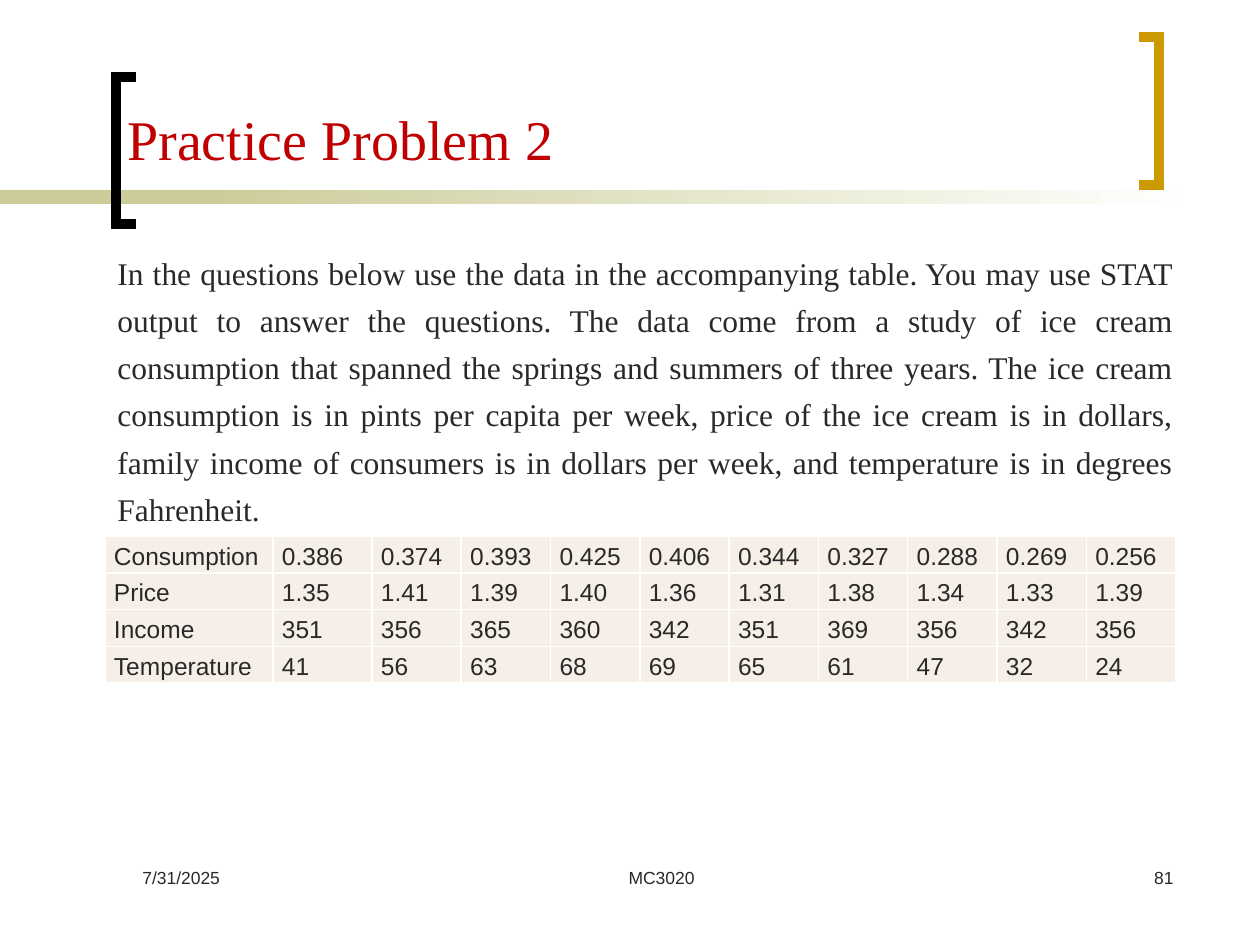
from dataclasses import dataclass

from lxml.etree import SubElement as Sub
from pptx import Presentation
from pptx.dml.color import RGBColor as Rgb
from pptx.enum.shapes import MSO_SHAPE as Shape
from pptx.enum.text import MSO_ANCHOR as Anchor, PP_ALIGN as Align
from pptx.oxml.ns import qn
from pptx.util import Emu, Pt

SCALE = 914400 / 126  # EMU in one px


@dataclass(frozen=True)
class Theme:
    ink: str = "292929"
    title: str = "C00000"
    band: str = "CCCC99"
    white: str = "FFFFFF"
    black: str = "000000"
    gold: str = "CC9900"
    cell: str = "F6EFE7"
    serif: str = "Times New Roman"
    sans: str = "Arial"
    big: int = 32
    body: int = 18
    grid: int = 14
    foot: int = 10
    thick: int = 6
    rule: int = 1
    lead: float = 1.25


THEME = Theme()


@dataclass(frozen=True)
class Box:
    left: int
    top: int
    width: int
    height: int


@dataclass(frozen=True)
class Style:
    size: int
    font: str
    color: str = THEME.ink
    align: Align = Align.LEFT
    lead: float = 1.0


@dataclass(frozen=True)
class Label:
    text: str
    box: Box
    style: Style
    anchor: Anchor = Anchor.TOP


@dataclass(frozen=True)
class Bracket:
    spine: int
    tip: int
    top: int
    bottom: int
    color: str


def px(value: float) -> Emu:
    return Emu(round(value * SCALE))


def place(box: Box) -> tuple:
    return px(box.left), px(box.top), px(box.width), px(box.height)


def write(frame, text: str, style: Style) -> None:
    para = frame.paragraphs[0]
    para.alignment = style.align
    para.line_spacing = style.lead
    run = para.add_run()
    run.text = text
    for key, value in {"name": style.font, "size": Pt(style.size)}.items():
        setattr(run.font, key, value)
    run.font.color.rgb = Rgb.from_string(style.color)


def draw_label(slide, label: Label) -> None:
    frame = slide.shapes.add_textbox(*place(label.box)).text_frame
    frame.word_wrap = True
    frame.vertical_anchor = label.anchor
    write(frame, label.text, label.style)


def draw_band(slide, box: Box, start: str, end: str) -> None:
    band = slide.shapes.add_shape(Shape.RECTANGLE, *place(box))
    band.shadow.inherit = False
    band.line.fill.background()
    if start == end:
        band.fill.solid()
        band.fill.fore_color.rgb = Rgb.from_string(start)
        return
    band.fill.gradient()
    band.fill.gradient_angle = 0
    for stop, color in zip(band.fill.gradient_stops, (start, end)):
        stop.color.rgb = Rgb.from_string(color)


def draw_bracket(slide, item: Bracket) -> None:
    path = slide.shapes.build_freeform(item.tip, item.top, scale=SCALE)
    path.add_line_segments(
        [(item.spine, item.top), (item.spine, item.bottom), (item.tip, item.bottom)],
        close=False,
    )
    shape = path.convert_to_shape()
    shape.shadow.inherit = False
    shape.fill.background()
    shape.line.width = Pt(THEME.thick)
    shape.line.color.rgb = Rgb.from_string(item.color)
    Sub(shape.line._get_or_add_ln(), qn("a:miter"), lim="800000")


def set_edges(cell) -> None:
    props = cell._tc.get_or_add_tcPr()
    for at, side in enumerate(("lnL", "lnR", "lnT", "lnB")):
        edge = Sub(props, qn(f"a:{side}"), w=str(Pt(THEME.rule)))
        paint = Sub(edge, qn("a:solidFill"))
        Sub(paint, qn("a:srgbClr"), val=THEME.white)
        props.insert(at, edge)  # borders go before the fill


def draw_table(slide, box: Box, rows: list, widths: list) -> None:
    table = slide.shapes.add_table(len(rows), len(widths), *place(box)).table
    table.first_row = table.horz_banding = False
    for column, width in zip(table.columns, widths):
        column.width = px(width)
    style = Style(THEME.grid, THEME.sans, align=Align.JUSTIFY, lead=THEME.lead)
    inset = {"margin_left": 9, "margin_right": 9, "margin_top": 0, "margin_bottom": 0}
    for r, row in enumerate(rows):
        for c, text in enumerate(row):
            cell = table.cell(r, c)
            for key, value in inset.items():
                setattr(cell, key, px(value))
            cell.fill.solid()
            cell.fill.fore_color.rgb = Rgb.from_string(THEME.cell)
            set_edges(cell)
            write(cell.text_frame, text, style)


BRACKETS = [
    Bracket(116, 136, 77, 224, THEME.black),
    Bracket(1159, 1139, 37, 185, THEME.gold),
]

STORY = (
    "In the questions below use the data in the accompanying table. "
    "You may use STAT output to answer the questions. The data come from a study "
    "of ice cream consumption that spanned the springs and summers of three years. "
    "The ice cream consumption is in pints per capita per week, price of the ice "
    "cream is in dollars, family income of consumers is in dollars per week, and "
    "temperature is in degrees Fahrenheit."
)

LABELS = [
    Label("7/31/2025", Box(130, 861, 262, 63), Style(THEME.foot, THEME.sans)),
    Label("MC3020", Box(462, 861, 399, 63),
          Style(THEME.foot, THEME.sans, align=Align.CENTER)),
    Label("81", Box(924, 861, 262, 63),
          Style(THEME.foot, THEME.sans, align=Align.RIGHT)),
    Label(STORY, Box(105, 238, 1081, 284),
          Style(THEME.body, THEME.serif, align=Align.JUSTIFY, lead=THEME.lead)),
    Label("Practice Problem 2", Box(115, 94, 1071, 84),
          Style(THEME.big, THEME.serif, THEME.title), Anchor.BOTTOM),
]

ROWS = [
    ["Consumption", "0.386", "0.374", "0.393", "0.425", "0.406",
     "0.344", "0.327", "0.288", "0.269", "0.256"],
    ["Price", "1.35", "1.41", "1.39", "1.40", "1.36",
     "1.31", "1.38", "1.34", "1.33", "1.39"],
    ["Income", "351", "356", "365", "360", "342",
     "351", "369", "356", "342", "356"],
    ["Temperature", "41", "56", "63", "68", "69",
     "65", "61", "47", "32", "24"],
]


def main() -> None:
    deck = Presentation()
    deck.slide_width, deck.slide_height = px(1260), px(945)
    slide = deck.slides.add_slide(deck.slide_layouts[6])

    # Band and brackets around the title
    draw_band(slide, Box(0, 190, 294, 14), THEME.band, THEME.band)
    draw_band(slide, Box(199, 190, 998, 14), THEME.band, THEME.white)
    for item in BRACKETS:
        draw_bracket(slide, item)

    # Footer, body and title
    for label in LABELS:
        draw_label(slide, label)

    # Data table: two lead columns, the rest share what is left
    box = Box(105, 536, 1071, 140)
    lead = [168, 99]
    count = len(ROWS[0]) - len(lead)
    draw_table(slide, box, ROWS, lead + [(box.width - sum(lead)) / count] * count)

    deck.save("out.pptx")


if __name__ == "__main__":
    main()
